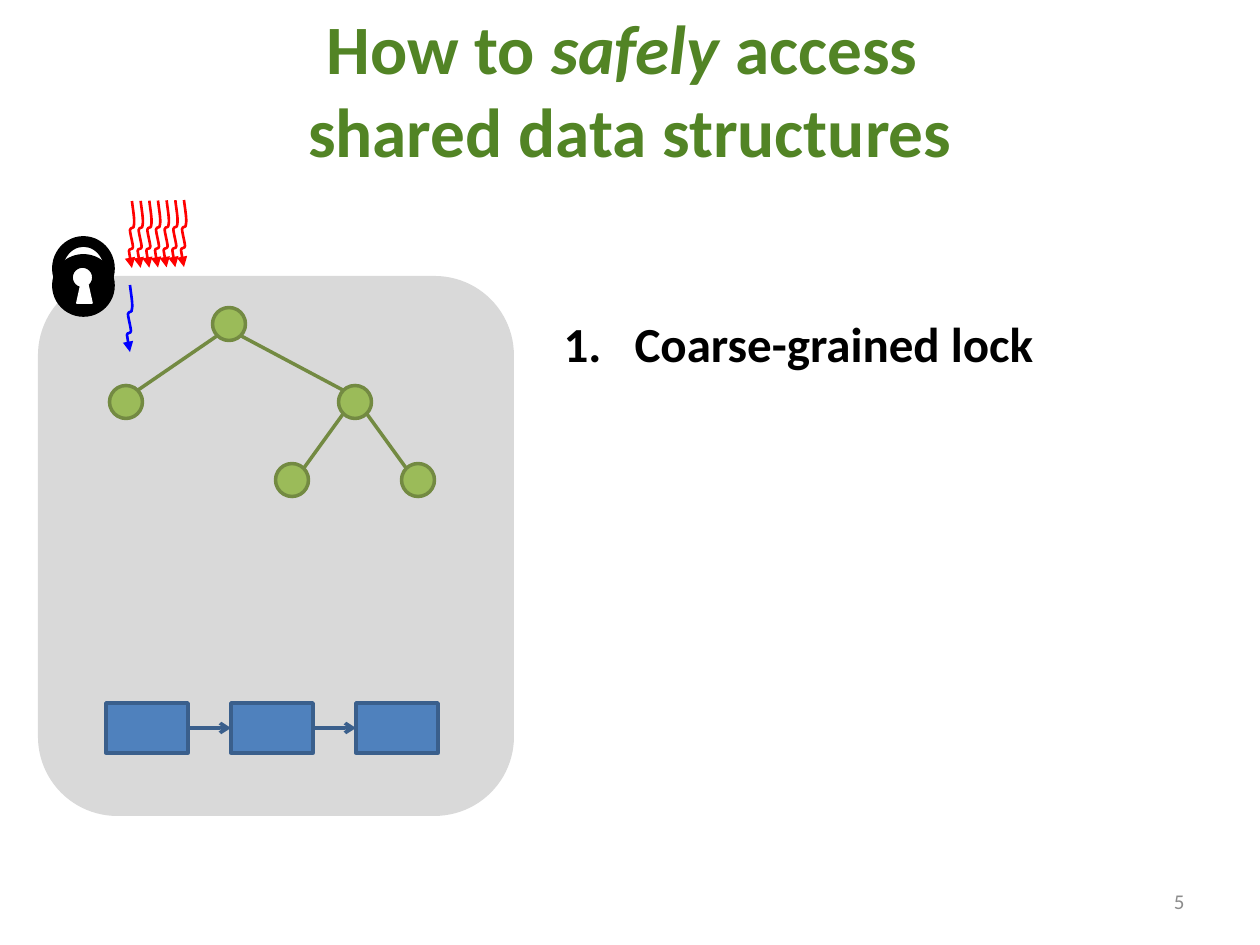
import copy

from lxml import etree
from pptx import Presentation
from pptx import util as u
from pptx.dml.color import RGBColor
from pptx.enum import shapes, text
from pptx.oxml.ns import qn

PX = 914400 / 126

GREY = RGBColor(0xD9, 0xD9, 0xD9)
BLACK = RGBColor(0, 0, 0)
WHITE = RGBColor(0xFF, 0xFF, 0xFF)
TITLE_GREEN = RGBColor(0x52, 0x84, 0x25)
NODE_FILL = RGBColor(0x9B, 0xBB, 0x59)
NODE_LINE = RGBColor(0x73, 0x8A, 0x42)
CELL_FILL = RGBColor(0x4F, 0x81, 0xBD)
CELL_LINE = RGBColor(0x3A, 0x5F, 0x8C)
NUMBER_GREY = RGBColor(0x8C, 0x8C, 0x8C)
RED = RGBColor(0xFF, 0, 0)
BLUE = RGBColor(0, 0, 0xFF)

TITLE_LINES = [[("How to ", False), ("safely", True), (" access ", False)],
               [("shared data structures", False)]]
METHODS = ["Coarse-grained lock"]
PAGE_NUMBER = "5"

PANEL = (38, 276, 476, 540)
LOCK_PARTS = [((53, 237, 61, 63), BLACK), ((62, 246, 43, 49), WHITE),
              ((53, 255, 61, 61), BLACK), ((72, 267, 21, 21), WHITE)]
KEYHOLE = [(77, 303), (81, 285), (88, 285), (92, 303)]

NODE_SIZE = 33
NODES = [(229, 324), (126, 402), (355, 402), (292, 480), (418, 480)]  # centres
EDGES = [(0, 1), (0, 2), (2, 3), (2, 4)]
CELL_COUNT, CELL_PITCH = 3, 125
FIRST_CELL = (106, 703, 82, 50)

WAITING_THREADS, THREAD_SPAN = 7, 52
FIRST_WAITING, RUNNING = (132, 201), (130, 285)
# Bezier segments of a thread, relative to its start
THREAD_CURVES = [[(1, 9), (3, 19), (2, 24)], [(2, 29), (-1, 25), (-2, 29)],
                 [(-2, 32), (1, 43), (1, 46)], [(1, 49), (-3, 47), (-3, 50)],
                 [(-3, 54), (0, 64), (0, 67)]]


def px(*lengths):
    return [u.Emu(round(length * PX)) for length in lengths]


def style(shape, fill, line=None, width=1):
    shape.shadow.inherit = False
    if fill is None:
        shape.fill.background()
    else:
        shape.fill.solid()
        shape.fill.fore_color.rgb = fill
    if line is None:
        shape.line.fill.background()
    else:
        shape.line.color.rgb = line
        shape.line.width = u.Pt(width)


def add_preset(parent, kind, box, *look):
    shape = parent.shapes.add_shape(kind, *px(*box))
    style(shape, *look)
    return shape


def add_outline(parent, points, close, *look):
    start, *rest = [px(*point) for point in points]
    builder = parent.shapes.build_freeform(*start)
    builder.add_line_segments(rest, close=close)
    shape = builder.convert_to_shape()
    style(shape, *look)
    return shape


def add_line(parent, start, end, color):
    line = parent.shapes.add_connector(
        shapes.MSO_CONNECTOR.STRAIGHT, *px(*start, *end))
    line.line.color.rgb = color
    line.line.width = u.Pt(2)
    etree.SubElement(line._element.spPr, qn("a:effectLst"))
    return line


def add_arrowhead(shape, kind):
    etree.SubElement(shape.line._get_or_add_ln(), qn("a:tailEnd"), type=kind)


def place(shape, left, top, width, height):
    shape.left, shape.top, shape.width, shape.height = px(left, top, width, height)


def format_font(run, size, color, bold=False, italic=False):
    font = run.font
    font.name, font.size = "Calibri", u.Pt(size)
    font.bold, font.italic = bold, italic
    font.color.rgb = color


def add_title(slide):
    title = slide.shapes.title
    place(title, 0, 10, 1260, 157)
    frame = title.text_frame
    frame.auto_size = text.MSO_AUTO_SIZE.NONE
    frame.vertical_anchor = text.MSO_ANCHOR.MIDDLE
    paragraph = frame.paragraphs[0]
    paragraph.alignment = text.PP_ALIGN.CENTER
    for index, line in enumerate(TITLE_LINES):
        if index:
            paragraph.add_line_break()
            paragraph._p[-1].append(copy.deepcopy(run._r.rPr))
        for words, italic in line:
            run = paragraph.add_run()
            run.text = words
            format_font(run, 39.6, TITLE_GREEN, True, italic)


def add_methods(slide):
    body = slide.placeholders[1]
    place(body, 551, 307, 645, 537)
    body.text_frame.text = "\n".join(METHODS)
    body.text_frame.auto_size = text.MSO_AUTO_SIZE.NONE
    for paragraph in body.text_frame.paragraphs:
        properties = paragraph._p.get_or_add_pPr()
        indent = px(71)[0]
        properties.set("marL", str(indent))
        properties.set("indent", str(-indent))
        etree.SubElement(properties, qn("a:buFont"), typeface="+mj-lt")
        etree.SubElement(properties, qn("a:buAutoNum"), type="arabicPeriod")
        format_font(paragraph.runs[0], 28, BLACK, True)


def add_page_number(slide):
    frame = slide.shapes.add_textbox(*px(903, 876, 294, 50)).text_frame
    frame.word_wrap = True
    frame.vertical_anchor = text.MSO_ANCHOR.MIDDLE
    frame.text = PAGE_NUMBER
    frame.paragraphs[0].alignment = text.PP_ALIGN.RIGHT
    format_font(frame.paragraphs[0].runs[0], 12, NUMBER_GREY)


def add_lock(parent):
    for box, fill in LOCK_PARTS:
        add_preset(parent, shapes.MSO_SHAPE.OVAL, box, fill, BLACK)
    add_outline(parent, KEYHOLE, True, WHITE, WHITE)


def add_tree(parent):
    radius = NODE_SIZE / 2
    for x, y in NODES:
        add_preset(parent, shapes.MSO_SHAPE.OVAL,
                   (x - radius, y - radius, NODE_SIZE, NODE_SIZE),
                   NODE_FILL, NODE_LINE, 2)
    reach = radius * 0.71  # edges meet the nodes on their diagonals
    for start, end in EDGES:
        (x1, y1), (x2, y2) = NODES[start], NODES[end]
        side = reach if x2 > x1 else -reach
        add_line(parent, (x1 + side, y1 + reach), (x2 - side, y2 - reach), NODE_LINE)


def add_linked_list(parent):
    left, top, width, height = FIRST_CELL
    lefts = [left + i * CELL_PITCH for i in range(CELL_COUNT)]
    cells = [add_preset(parent, shapes.MSO_SHAPE.RECTANGLE, (x, top, width, height),
                        CELL_FILL, CELL_LINE, 2) for x in lefts]
    middle = top + height / 2
    for i in range(CELL_COUNT - 1):
        link = add_line(parent, (lefts[i] + width, middle), (lefts[i + 1], middle),
                        CELL_LINE)
        link.begin_connect(cells[i], 3)
        link.end_connect(cells[i + 1], 1)
        add_arrowhead(link, "arrow")


def add_thread(parent, x, y, color):
    points = [(0, 0)] + [point for curve in THREAD_CURVES for point in curve]
    thread = add_outline(parent, [(x + dx, y + dy) for dx, dy in points],
                         False, None, color, 1.5)
    add_arrowhead(thread, "triangle")
    bend(thread)


def bend(shape):
    """Turn each three straight segments of the outline into one Bezier curve."""
    outline = next(shape._element.iter(qn("a:path")))
    segments = outline.findall(qn("a:lnTo"))
    for i in range(0, len(segments), 3):
        curve = etree.SubElement(outline, qn("a:cubicBezTo"))
        for segment in segments[i:i + 3]:
            curve.append(segment[0])
            outline.remove(segment)


def add_waiting_threads(parent):
    x, y = FIRST_WAITING
    for i in range(WAITING_THREADS):
        part = i / (WAITING_THREADS - 1)
        add_thread(parent, x + part * THREAD_SPAN, y - part, RED)


def main():
    presentation = Presentation()
    presentation.slide_width, presentation.slide_height = px(1260, 945)
    slide = presentation.slides.add_slide(presentation.slide_layouts[1])
    add_title(slide)
    add_methods(slide)
    add_preset(slide, shapes.MSO_SHAPE.ROUNDED_RECTANGLE, PANEL, GREY)
    add_page_number(slide)
    for add_drawing in (add_lock, add_tree, add_linked_list, add_waiting_threads):
        add_drawing(slide.shapes.add_group_shape())
    add_thread(slide, *RUNNING, BLUE)
    presentation.save("out.pptx")


if __name__ == "__main__":
    main()
